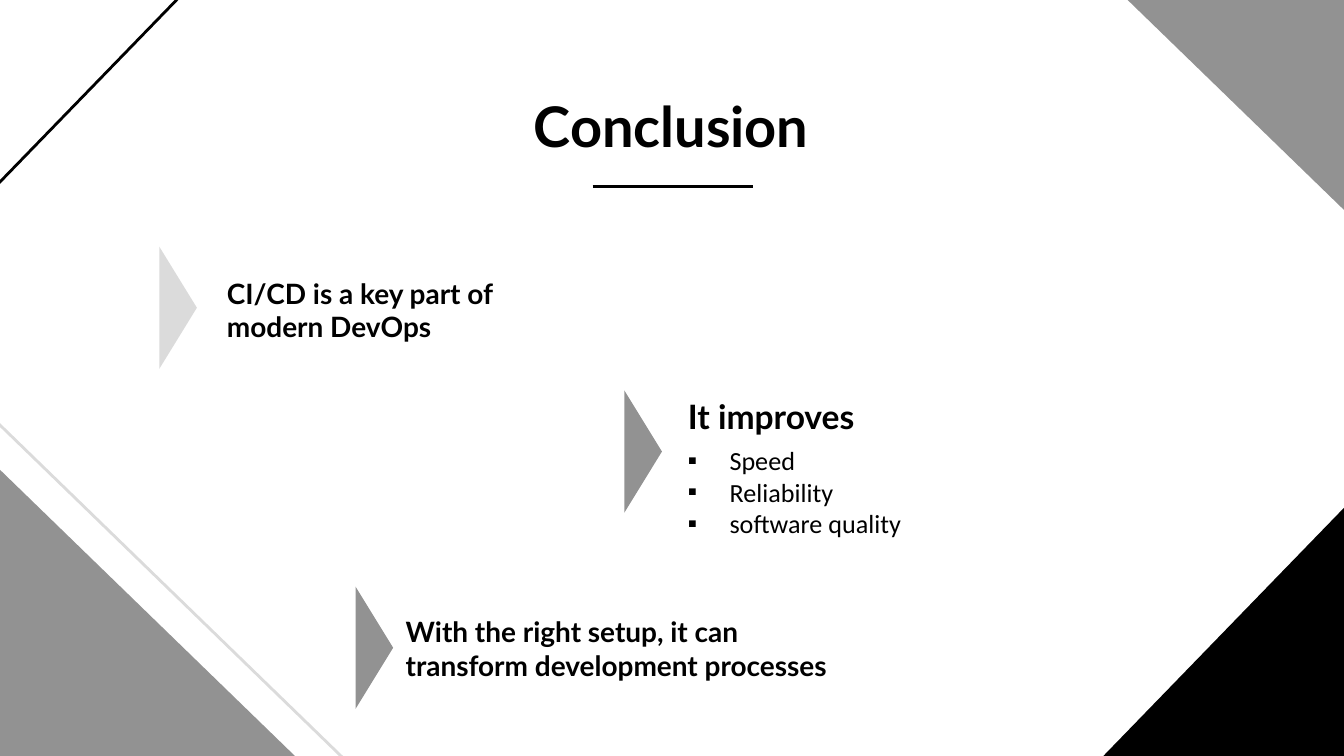
from lxml.etree import SubElement
from pptx import Presentation
from pptx.dml.color import RGBColor
from pptx.enum.shapes import MSO_CONNECTOR, MSO_SHAPE
from pptx.enum.text import MSO_ANCHOR, PP_ALIGN
from pptx.oxml.ns import qn
from pptx.util import Inches, Pt

COLORS = {"black": "000000", "gray": "929292", "light": "DBDBDB"}
LINE_WIDTH = Pt(1.5)
INDENT = Inches(0.31)

TITLE = "Conclusion"
TITLE_BOX = (0.78, 0.58, 8.43, 0.58)
UNDERLINE = (4.41, 1.39, 5.6, 1.39)

# left, top, rotation, color, filled
CORNER_SIZE = (3.72, 3.61)
CORNERS = [
    (-0.57, 2.61, 0, "light", False),
    (-0.81, 2.71, 0, "gray", True),
    (7.36, -1, 180, "gray", True),
    (-0.29, -2.07, 90, "black", False),
]
BLACK_CORNER = (8, 3.53, 2.31, 2.24)

# text, box, font size
STATEMENTS = [
    ("CI/CD is a key part of modern DevOps", (1.59, 1.95, 2.54, 0.71), 15),
    ("With the right setup, it can transform development processes",
     (2.92, 4.4, 3.49, 0.85), 15),
    ("It improves", (5.02, 2.91, 2.14, 0.37), 18),
]
IMPROVEMENTS = ["Speed", "Reliability", "software quality"]
IMPROVEMENTS_BOX = (5.02, 3.21, 2.43, 0.91)

# left, top, color
MARKER_SIZE = (0.91, 0.28)
MARKERS = [(2.33, 4.68, "gray"), (4.33, 3.22, "gray"), (0.87, 2.15, "light")]


def rgb(name):
    return RGBColor.from_string(COLORS[name])


def add_triangle(slide, kind, box, rotation, color, filled=True):
    shape = slide.shapes.add_shape(kind, *map(Inches, box))
    shape.shadow.inherit = False
    shape.rotation = rotation
    if filled:
        shape.fill.solid()
        shape.fill.fore_color.rgb = rgb(color)
        shape.line.fill.background()
    else:
        shape.fill.background()
        shape.line.color.rgb = rgb(color)
        shape.line.width = LINE_WIDTH


def add_text(slide, text, box, size, font="Lato", bold=True,
             anchor=MSO_ANCHOR.MIDDLE, align=PP_ALIGN.LEFT, bulleted=False):
    frame = slide.shapes.add_textbox(*map(Inches, box)).text_frame
    frame.word_wrap = True
    frame.vertical_anchor = anchor
    frame.margin_left = frame.margin_right = Inches(0.1)
    frame.margin_top = frame.margin_bottom = Inches(0.1)
    frame.text = text
    for paragraph in frame.paragraphs:
        if bulleted:
            add_bullet(paragraph, font)
        paragraph.alignment = align
        for run in paragraph.runs:
            run.font.name = font
            run.font.size = Pt(size)
            run.font.bold = bold
            run.font.color.rgb = rgb("black")


def add_bullet(paragraph, font):
    properties = paragraph._p.get_or_add_pPr()
    properties.set("marL", str(INDENT))
    properties.set("indent", str(-INDENT))
    color = SubElement(properties, qn("a:buClr"))
    SubElement(color, qn("a:srgbClr"), val=COLORS["black"])
    SubElement(properties, qn("a:buFont"), typeface=font)
    SubElement(properties, qn("a:buChar"), char="▪")


def add_underline(slide):
    line = slide.shapes.add_connector(MSO_CONNECTOR.STRAIGHT, *map(Inches, UNDERLINE))
    line.line.color.rgb = rgb("black")
    line.line.width = LINE_WIDTH
    SubElement(line._element.spPr, qn("a:effectLst"))


def main():
    presentation = Presentation()
    presentation.slide_width = Inches(10)
    presentation.slide_height = Inches(10) * 9 // 16
    slide = presentation.slides.add_slide(presentation.slide_layouts[6])

    add_triangle(slide, MSO_SHAPE.RIGHT_TRIANGLE, BLACK_CORNER, 270, "black")
    for left, top, rotation, color, filled in CORNERS:
        add_triangle(slide, MSO_SHAPE.RIGHT_TRIANGLE, (left, top, *CORNER_SIZE),
                     rotation, color, filled)

    for text, box, size in STATEMENTS:
        add_text(slide, text, box, size)
    add_text(slide, "\n".join(IMPROVEMENTS), IMPROVEMENTS_BOX, 14, font="Calibri",
             bold=False, anchor=MSO_ANCHOR.TOP, bulleted=True)

    for left, top, color in MARKERS:
        add_triangle(slide, MSO_SHAPE.ISOSCELES_TRIANGLE, (left, top, *MARKER_SIZE),
                     90, color)

    add_underline(slide)
    add_text(slide, TITLE, TITLE_BOX, 30, anchor=MSO_ANCHOR.TOP, align=PP_ALIGN.CENTER)
    presentation.save("out.pptx")


if __name__ == "__main__":
    main()
